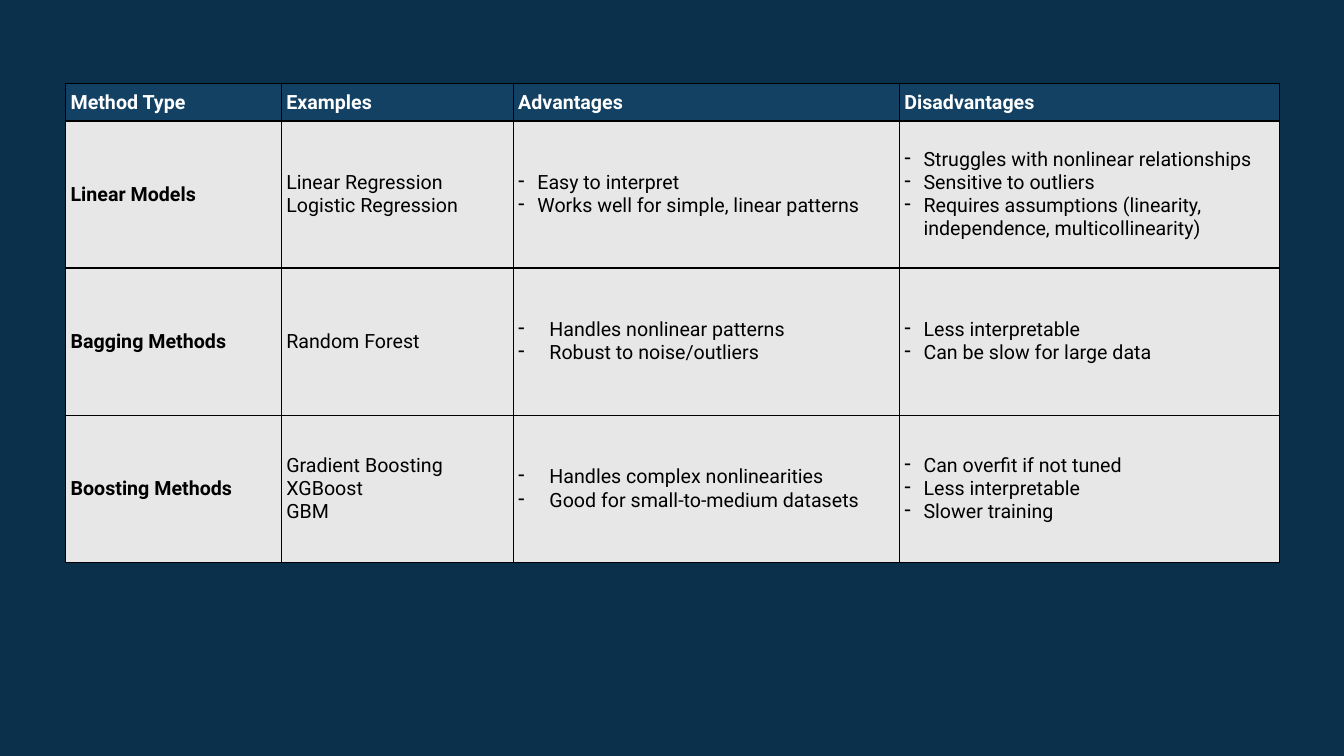
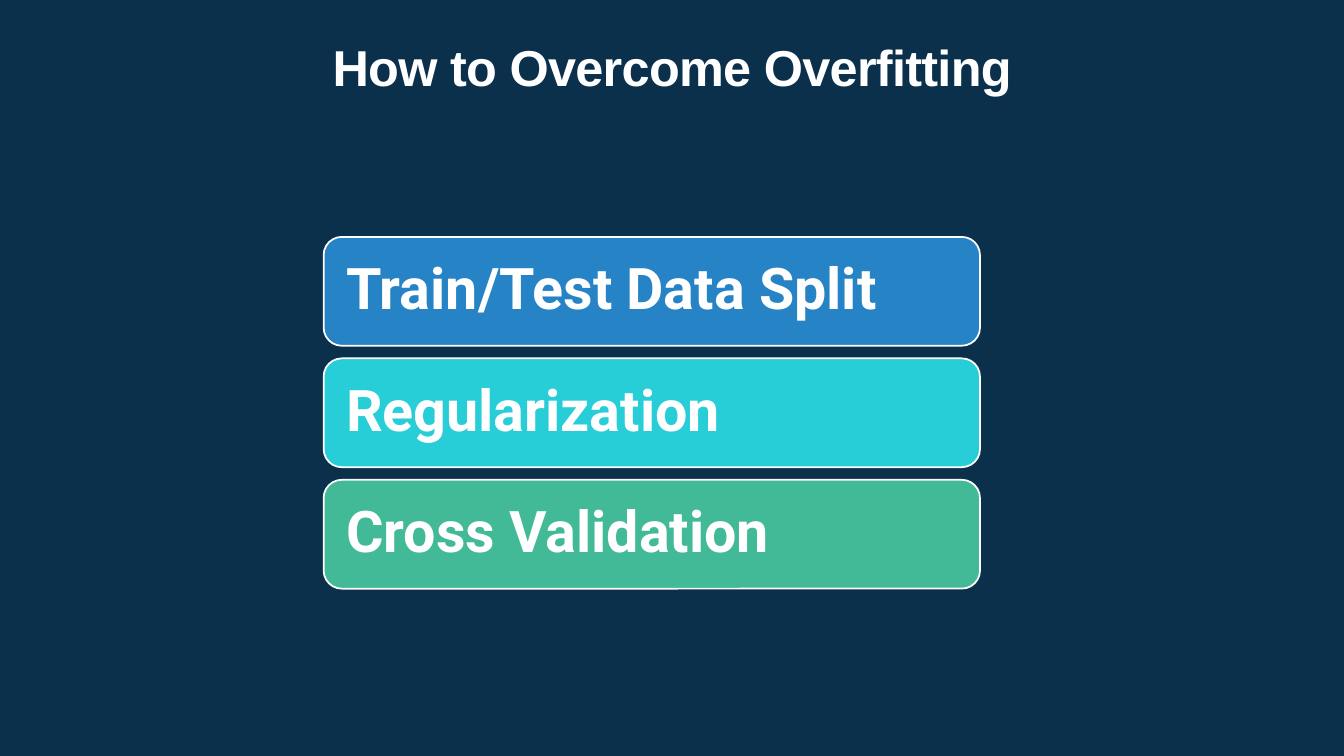
from pptx import Presentation
from pptx.dml.color import RGBColor
from pptx.enum.shapes import MSO_SHAPE
from pptx.enum.text import MSO_ANCHOR, MSO_AUTO_SIZE, PP_ALIGN
from pptx.oxml import parse_xml
from pptx.oxml.ns import nsdecls
from pptx.util import Inches, Pt

NAVY, HEADER, GREY = "0B304C", "134163", "E7E7E7"
WHITE, BLACK = "FFFFFF", "000000"
TITLE_ONLY, BLANK = 5, 6


def rgb(color):
    return RGBColor.from_string(color)


def add_run(p, text, font, size, color, bold):
    r = p.add_run()
    r.text = text
    for name, value in {"name": font, "size": Pt(size), "bold": bold}.items():
        setattr(r.font, name, value)
    r.font.color.rgb = rgb(color)
    return r


prs = Presentation()
prs.slide_width, prs.slide_height = Inches(13.33), Inches(7.5)
background = prs.slide_master.background.fill
background.solid()
background.fore_color.rgb = rgb(NAVY)

# Slide 1: comparison of methods
s = prs.slides.add_slide(prs.slide_layouts[BLANK])
headers = ["Method Type", "Examples", "Advantages", "Disadvantages"]
methods = [
    (["Linear Models"],
     ["Linear Regression", "Logistic Regression"],
     ["Easy to interpret", "Works well for simple, linear patterns"],
     ["Struggles with nonlinear relationships", "Sensitive to outliers",
      "Requires assumptions (linearity, independence, multicollinearity)"]),
    (["Bagging Methods"],
     ["Random Forest"],
     ["Handles nonlinear patterns", "Robust to noise/outliers"],
     ["Less interpretable", "Can be slow for large data"]),
    (["Boosting Methods"],
     ["Gradient Boosting", "XGBoost", "GBM"],
     ["Handles complex nonlinearities", "Good for small-to-medium datasets"],
     ["Can overfit if not tuned", "Less interpretable", "Slower training"]),
]
rows = [[[h] for h in headers], *methods]
col_widths = [2.14, 2.3, 3.83, 3.77]
row_heights = [0.37, 1.46, 1.46, 1.46]
table = s.shapes.add_table(
    len(rows), len(headers), Inches(0.65), Inches(0.83),
    Inches(sum(col_widths)), Inches(sum(row_heights))).table
table.horz_banding = False
for column, width in zip(table.columns, col_widths):
    column.width = Inches(width)
for row, height in zip(table.rows, row_heights):
    row.height = Inches(height)

cell_format = {
    "vertical_anchor": MSO_ANCHOR.MIDDLE,
    "margin_left": Inches(0.05), "margin_right": Inches(0.05),
    "margin_top": Inches(0.03), "margin_bottom": Inches(0.03),
}
for i, row in enumerate(rows):
    for j, lines in enumerate(row):
        cell = table.cell(i, j)
        for name, value in cell_format.items():
            setattr(cell, name, value)
        tcPr = cell._tc.get_or_add_tcPr()
        for side in ("lnL", "lnR", "lnT", "lnB"):
            tcPr.append(parse_xml(
                f'<a:{side} {nsdecls("a")} w="{Pt(1)}"><a:solidFill>'
                f'<a:srgbClr val="{BLACK}"/></a:solidFill></a:{side}>'))
        cell.fill.solid()
        cell.fill.fore_color.rgb = rgb(GREY if i else HEADER)

        tf = cell.text_frame
        for k, line in enumerate(lines):
            p = tf.add_paragraph() if k else tf.paragraphs[0]
            if i and j >= 2:
                indent = Inches(0.31 if i > 1 and j == 2 else 0.19)
                pPr = p._p.get_or_add_pPr()
                pPr.set("marL", str(indent))
                pPr.set("indent", str(-indent))
                pPr.append(parse_xml(f'<a:buChar {nsdecls("a")} char="-"/>'))
            add_run(p, line, "Roboto", 14, BLACK if i else WHITE,
                    i == 0 or j == 0)

# Slide 2: remedies for overfitting
s = prs.slides.add_slide(prs.slide_layouts[TITLE_ONLY])
title = s.shapes.title
title.left, title.top = Inches(0), Inches(0.4)
title.width, title.height = prs.slide_width, Inches(1.23)
tf = title.text_frame
tf.auto_size = MSO_AUTO_SIZE.NONE
tf.vertical_anchor = MSO_ANCHOR.TOP
p = tf.paragraphs[0]
p.alignment = PP_ALIGN.CENTER
p.line_spacing = 0.85
r = add_run(p, "How to Overcome Overfitting", "Arial", 36, WHITE, True)
r.font._element.set("spc", "-50")

remedies = [("Train/Test Data Split", "2683C6"),
            ("Regularization", "27CED7"),
            ("Cross Validation", "42BA97")]
bar_top, bar_pitch = 2.35, 1.205
for i, (text, color) in enumerate(remedies):
    bar = s.shapes.add_shape(
        MSO_SHAPE.ROUNDED_RECTANGLE, Inches(3.21),
        Inches(bar_top + i * bar_pitch), Inches(6.51), Inches(1.08))
    bar.shadow.inherit = False
    bar.fill.solid()
    bar.fill.fore_color.rgb = rgb(color)
    bar.line.color.rgb = rgb(WHITE)
    bar.line.width = Pt(1.25)
    tf = bar.text_frame
    tf.word_wrap = True
    tf.vertical_anchor = MSO_ANCHOR.MIDDLE
    tf.margin_left = tf.margin_right = Inches(0.17)
    p = tf.paragraphs[0]
    p.alignment = PP_ALIGN.LEFT
    p.line_spacing = 0.9
    add_run(p, text, "Roboto", 41, WHITE, True)

prs.save("out.pptx")
